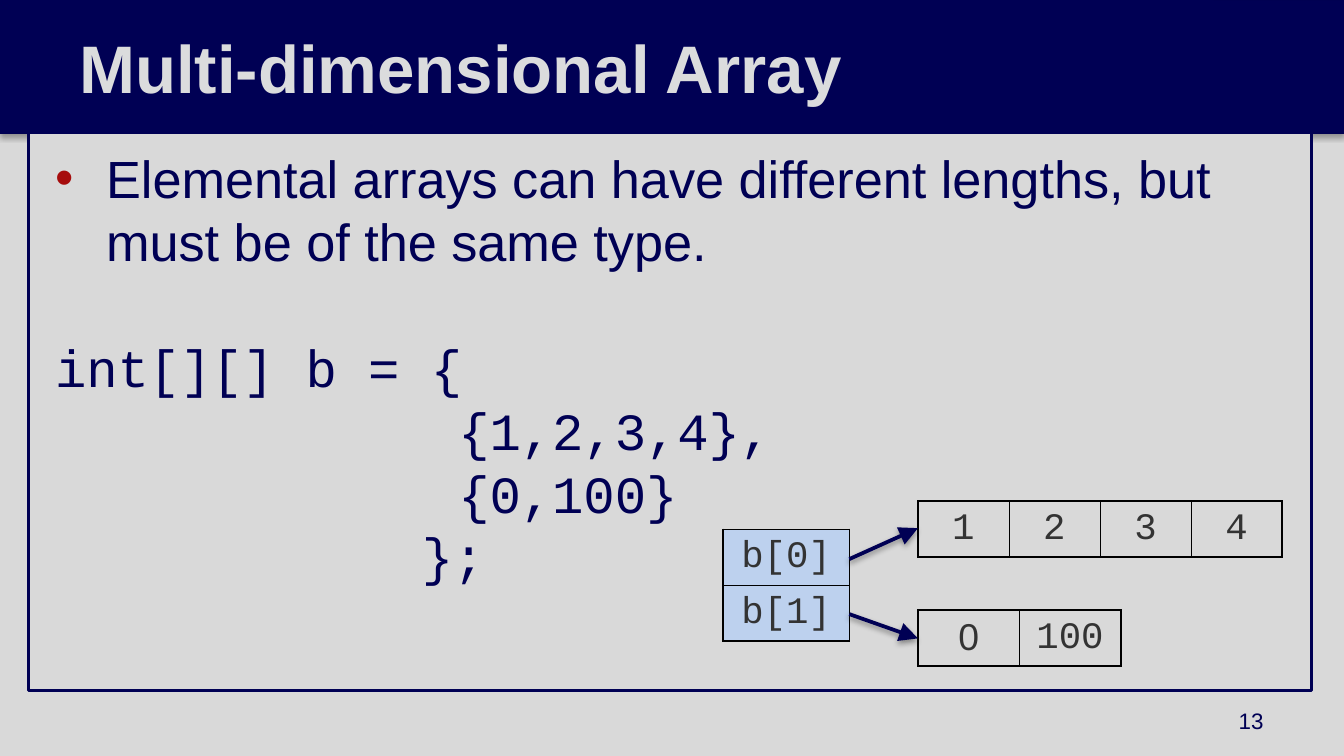
from lxml.etree import SubElement
from pptx import Presentation
from pptx.dml.color import RGBColor
from pptx.enum.shapes import MSO_CONNECTOR, MSO_SHAPE
from pptx.enum.text import MSO_ANCHOR, PP_ALIGN
from pptx.oxml.ns import qn
from pptx.util import Inches, Pt

NAVY = RGBColor(0x00, 0x00, 0x54)
BANNER_EDGE = RGBColor(0x00, 0x00, 0x52)
GRAY = RGBColor(0xD9, 0xD9, 0xD9)
TITLE_GRAY = RGBColor(0xDB, 0xDC, 0xDD)
RED = RGBColor(0xA6, 0x0C, 0x0C)
LIGHT_BLUE = RGBColor(0xBD, 0xD1, 0xEE)
CELL_TEXT = RGBColor(0x33, 0x33, 0x33)
BLACK = RGBColor(0, 0, 0)

SANS, MONO = "Arial", "Courier New"
ROW_HEIGHT = 0.41
BULLET_INDENT = 0.38
CODE_LINES = [  # text, left indent in inches
    ("int[][] b = {", 0),
    ("{1,2,3,4},", 3),
    ("{0,100}", 3),
    ("};", 2.73),
]


def inches(*lengths):
    return [Inches(length) for length in lengths]


def add_color(parent, color):
    fill = SubElement(parent, qn("a:solidFill"))
    SubElement(fill, qn("a:srgbClr"), val=str(color))


def add_shadow(shape, distance, opacity):
    """Give a shape a soft shadow straight below; opacity is in percent."""
    effects = SubElement(shape.element.spPr, qn("a:effectLst"))
    shadow = SubElement(effects, qn("a:outerShdw"), blurRad=str(Pt(3.1)),
                        dist=str(Pt(distance)), dir="5400000", rotWithShape="0")
    color = SubElement(shadow, qn("a:srgbClr"), val=str(BLACK))
    SubElement(color, qn("a:alpha"), val=str(opacity * 1000))


def set_margins(frame, side, top):
    frame.margin_left = frame.margin_right = Inches(side)
    frame.margin_top = frame.margin_bottom = Inches(top)


def set_text(para, text, font, size, color, align=PP_ALIGN.LEFT, bold=False):
    para.text = text
    para.alignment = align
    for span in para.runs:
        span.font.name, span.font.size = font, Pt(size)
        span.font.color.rgb, span.font.bold = color, bold


def set_indent(para, left, first=0):
    properties = para._p.get_or_add_pPr()
    properties.set("marL", str(Inches(left)))
    properties.set("indent", str(Inches(first)))
    return properties


def add_rectangle(page, box, fill, edge, width):
    shape = page.shapes.add_shape(MSO_SHAPE.RECTANGLE, *inches(*box))
    shape.fill.solid()
    shape.fill.fore_color.rgb = fill
    shape.line.color.rgb, shape.line.width = edge, Pt(width)
    return shape


def add_header(page, box, text):
    left, top, width, height = box
    banner = add_rectangle(page, box, NAVY, BANNER_EDGE, 0.75)
    add_shadow(banner, 1.8, 35)

    title = page.shapes.title
    title.left, title.top, title.width, title.height = inches(
        left, top, width - 0.97, height)
    title.fill.solid()
    title.fill.fore_color.rgb = NAVY
    banner.element.addnext(title.element)  # bring the title in front
    frame = title.text_frame
    frame.vertical_anchor = MSO_ANCHOR.MIDDLE
    set_margins(frame, 0.4, 0.1)
    para = frame.paragraphs[0]
    set_text(para, text, SANS, 36, TITLE_GRAY, bold=True)
    set_indent(para, 0.19)


def add_body(page, box, point, code):
    body = add_rectangle(page, box, GRAY, NAVY, 1.5)
    body.shadow.inherit = False
    frame = body.text_frame
    frame.word_wrap = True
    frame.vertical_anchor = MSO_ANCHOR.TOP
    set_margins(frame, 0.2, 0.1)

    para = frame.paragraphs[0]
    set_text(para, point, SANS, 28, NAVY)
    properties = set_indent(para, BULLET_INDENT, -BULLET_INDENT)
    color = SubElement(properties, qn("a:buClr"))
    SubElement(color, qn("a:srgbClr"), val=str(RED))
    SubElement(properties, qn("a:buFont"), typeface=SANS)
    SubElement(properties, qn("a:buChar"), char="•")

    for index, (text, indent) in enumerate(code):
        para = frame.add_paragraph()
        set_text(para, text, MONO, 28, NAVY)
        set_indent(para, indent)
        para.space_before = Pt(0 if index else 34)


def set_borders(cell, row, column, rows, columns):
    """Thick lines round the table, thin ones between its cells."""
    outer = {"L": column == 0, "R": column == columns - 1,
             "T": row == 0, "B": row == rows - 1}
    properties = cell._tc.get_or_add_tcPr()
    for side, is_outer in outer.items():
        line = SubElement(properties, qn(f"a:ln{side}"),
                          w=str(Pt(1 if is_outer else 0.5)))
        add_color(line, BLACK)


def add_array(page, left, top, width, values, fill=None, fonts=None):
    """Draw rows of values as a grid of equal cells."""
    rows, columns = len(values), len(values[0])
    frame = page.shapes.add_table(rows, columns, *inches(
        left, top, width, ROW_HEIGHT * rows))
    table = frame.table
    table.first_row = table.horz_banding = False
    for row, texts in enumerate(values):
        for column, text in enumerate(texts):
            cell = table.cell(row, column)
            font = fonts[column] if fonts else MONO
            set_text(cell.text_frame.paragraphs[0], text, font, 20, CELL_TEXT,
                     PP_ALIGN.CENTER)
            set_borders(cell, row, column, rows, columns)
            if fill is None:
                cell.fill.background()
            else:
                cell.fill.solid()
                cell.fill.fore_color.rgb = fill


def add_arrow(page, start, end):
    arrow = page.shapes.add_connector(MSO_CONNECTOR.STRAIGHT,
                                      *inches(*start, *end))
    arrow.line.color.rgb, arrow.line.width = NAVY, Pt(2)
    SubElement(arrow.line._get_or_add_ln(), qn("a:tailEnd"),
               type="triangle", w="lg", len="lg")
    add_shadow(arrow, 1.6, 38)


def add_array_diagram(page, left, top):
    """Index table with an arrow from each row to its elemental array."""
    index_width = 0.94
    array_left = left + 1.45
    add_array(page, left, top + 0.21, index_width, [["b[0]"], ["b[1]"]], LIGHT_BLUE)
    add_array(page, array_left, top, 2.71, [["1", "2", "3", "4"]])
    add_array(page, array_left, top + 0.81, 1.51, [["0", "100"]], fonts=[SANS, MONO])
    for start, end in ((0.43, 0.2), (0.84, 1.02)):
        add_arrow(page, (left + index_width, top + start), (array_left, top + end))


def add_page_number(page, box, number):
    frame = page.shapes.add_textbox(*inches(*box)).text_frame
    frame.word_wrap = True
    frame.vertical_anchor = MSO_ANCHOR.MIDDLE
    set_text(frame.paragraphs[0], str(number), SANS, 12, NAVY, PP_ALIGN.RIGHT)


def main():
    deck = Presentation()
    deck.slide_width, deck.slide_height = inches(10, 10 * 9 / 16)
    page = deck.slides.add_slide(deck.slide_layouts[5])
    page.background.fill.solid()
    page.background.fill.fore_color.rgb = GRAY

    add_header(page, (0, 0, 10, 0.99), "Multi-dimensional Array")
    add_body(page, (0.21, 0.99, 9.55, 4.15),
             "Elemental arrays can have different lengths, "
             "but must be of the same type.", CODE_LINES)
    add_array_diagram(page, 5.38, 3.73)
    add_page_number(page, (7.17, 5.21, 2.33, 0.3), 13)
    deck.save("out.pptx")


if __name__ == "__main__":
    main()
